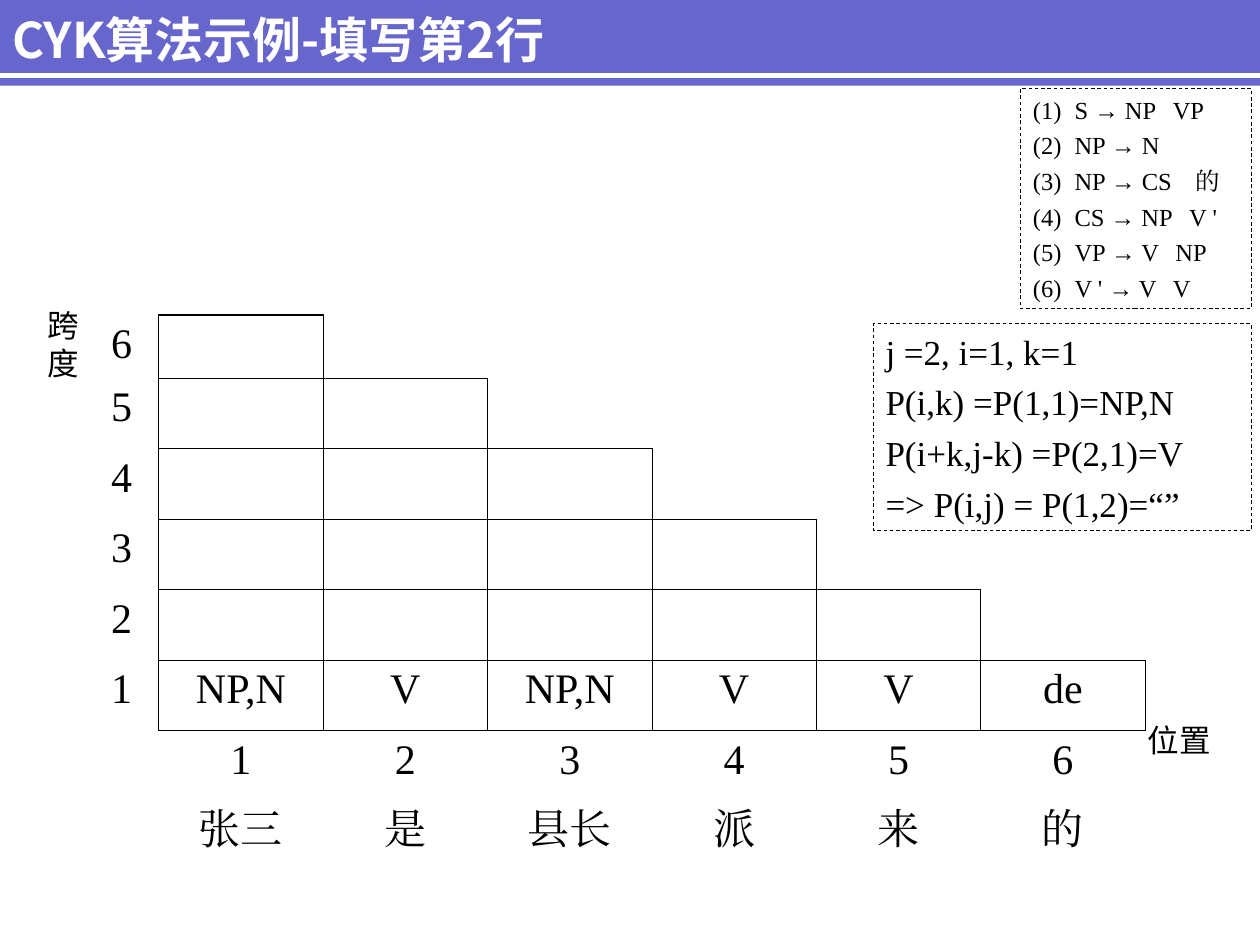
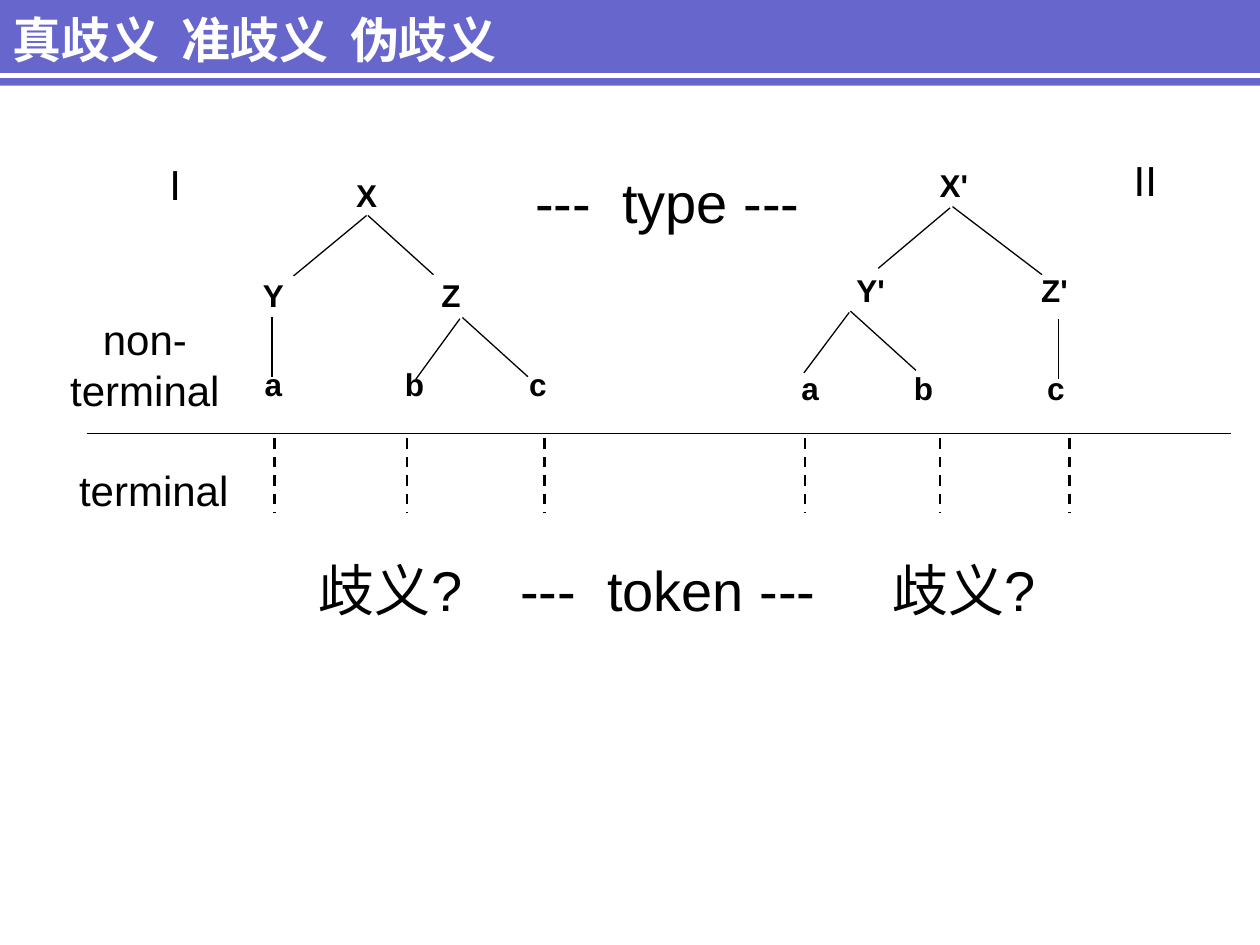
"""Builds two slides on CYK parsing and on kinds of ambiguity."""
from lxml.etree import SubElement
from pptx import Presentation
from pptx.dml.color import RGBColor
from pptx.enum.dml import MSO_LINE
from pptx.enum.shapes import MSO_CONNECTOR, MSO_SHAPE
from pptx.enum.text import MSO_ANCHOR as Anchor, PP_ALIGN as Align
from pptx.oxml.ns import qn
from pptx.util import Inches, Pt

COLORS = {"band": "6666CC", "paper": "FFFFFF", "ink": "000000"}
TITLE_FONT, BODY_FONT, LABEL_FONT, FORMULA_FONT = (
    "Noto Sans CJK SC", "Arial", "Calibri", "Times New Roman")
SPANS = 6
WORDS = ["张三", "是", "县长", "派", "来", "的"]
CATEGORIES = ["NP,N", "V", "NP,N", "V", "V", "de"]
GRAMMAR = [
    ("(1)\tS → NP\tVP", 1.11),
    ("(2)\tNP → N", 1.11),
    ("(3)\tNP → CS\t的", 1.29),
    ("(4)\tCS → NP\tV '", 1.24),
    ("(5)\tVP → V\tNP", 1.13),
    ("(6)\tV ' → V\tV", 1.11),
]
STEP = ["j =2, i=1, k=1", "P(i,k) =P(1,1)=NP,N",
        "P(i+k,j-k) =P(2,1)=V", "=> P(i,j) = P(1,2)=“”"]
LEFT_TREE = {
    "nodes": [("X", 2.91, 1.35), ("Y", 2.17, 2.14), ("Z", 3.58, 2.14),
              ("a", 2.17, 2.85), ("b", 3.29, 2.85), ("c", 4.27, 2.85)],
    "branches": [(2.91, 1.71, 2.33, 2.19), (2.92, 1.71, 3.44, 2.18),
                 (2.16, 2.52, 2.16, 2.99), (3.65, 2.53, 3.3, 3.01),
                 (3.67, 2.52, 4.19, 2.99)],
    "terminals": [2.18, 3.23, 4.32],
}
RIGHT_TREE = {
    "nodes": [("X'", 7.57, 1.27), ("Y'", 6.91, 2.1), ("Z'", 8.37, 2.1),
              ("a", 6.43, 2.88), ("b", 7.33, 2.88), ("c", 8.38, 2.88)],
    "branches": [(7.54, 1.65, 6.97, 2.13), (7.56, 1.64, 8.27, 2.18),
                 (6.74, 2.48, 6.38, 2.96), (6.75, 2.47, 7.27, 2.94),
                 (8.4, 2.53, 8.4, 3.01)],
    "terminals": [6.39, 7.46, 8.49],
}


def rgb(name):
    """Return a palette colour."""
    return RGBColor.from_string(COLORS[name])


def add_tabs(paragraph, stops):
    """Give a paragraph left tab stops, in inches."""
    tab_list = SubElement(paragraph._p.get_or_add_pPr(), qn("a:tabLst"))
    for stop in stops:
        SubElement(tab_list, qn("a:tab"), pos=str(Inches(stop)), algn="l")


def write(frame, lines, size=18, font=BODY_FONT, color="ink", bold=False,
          align=Align.LEFT, before=0, tabs=()):
    """Write lines into a text frame, with arrows set in the body font."""
    for index, line in enumerate(lines):
        paragraph = frame.add_paragraph() if index else frame.paragraphs[0]
        if tabs:
            add_tabs(paragraph, tabs[index])
        paragraph.alignment = align
        if index and before:
            paragraph.space_before = Pt(before)
        for piece in filter(None, line.partition("→")):
            face = BODY_FONT if piece == "→" else font
            run = paragraph.add_run()
            run.text = piece
            run.font.size, run.font.bold, run.font.name = Pt(size), bold, face
            run.font.color.rgb = rgb(color)
            SubElement(run._r.get_or_add_rPr(), qn("a:ea"), typeface=face)


def add_label(slide, text, left, top, width, height, anchor=Anchor.TOP, **style):
    """Add a wrapped text box holding one paragraph."""
    frame = slide.shapes.add_textbox(*map(Inches, (left, top, width, height))).text_frame
    frame.word_wrap = True
    frame.vertical_anchor = anchor
    write(frame, [text], **style)


def add_box(slide, left, top, width, height, fill=None):
    """Add a rectangle without a shadow, either filled or dashed."""
    box = slide.shapes.add_shape(
        MSO_SHAPE.RECTANGLE, *map(Inches, (left, top, width, height)))
    box.shadow.inherit = False
    if fill:
        box.fill.solid()
        box.fill.fore_color.rgb = rgb(fill)
        box.line.fill.background()
    else:
        box.fill.background()
        box.line.color.rgb = rgb("ink")
        box.line.width = Pt(0.5)
        box.line.dash_style = MSO_LINE.DASH
    return box


def add_note(slide, lines, left, top, width, height, **style):
    """Add a dashed box of formulas."""
    frame = add_box(slide, left, top, width, height).text_frame
    frame.word_wrap = True
    frame.vertical_anchor = Anchor.MIDDLE
    write(frame, lines, font=FORMULA_FONT, **style)


def add_line(slide, x1, y1, x2, y2, width=0.75, color="ink", dash=None):
    """Add a straight line without a shadow."""
    line = slide.shapes.add_connector(
        MSO_CONNECTOR.STRAIGHT, *map(Inches, (x1, y1, x2, y2)))
    line.line.color.rgb = rgb(color)
    line.line.width = Pt(width)
    if dash:
        line.line.dash_style = dash
    SubElement(line._element.spPr, qn("a:effectLst"))


def add_titled_slide(deck, title, tabs=()):
    """Add a blank slide with the title band."""
    slide = deck.slides.add_slide(deck.slide_layouts[6])
    add_box(slide, -0.04, -0.03, 10.04, 0.71, fill="band")
    add_line(slide, -0.04, 0.6, 10, 0.6, width=3, color="paper")
    add_label(slide, title, 0, -0.02, 9.5, 0.66, anchor=Anchor.MIDDLE, size=28,
              font=TITLE_FONT, color="paper", bold=True, tabs=tabs)
    return slide


def in_chart(row, column):
    """Tell whether a table cell lies in the staircase."""
    return 0 <= row < SPANS and 1 <= column <= row + 1


def draw_borders(cell, row, column):
    """Rule each edge that touches the staircase and clear the others."""
    neighbours = {"L": (row, column - 1), "R": (row, column + 1),
                  "T": (row - 1, column), "B": (row + 1, column)}
    for side, neighbour in neighbours.items():
        width = 1.08 if side == "T" and row == 0 else 0.45
        edge = SubElement(cell._tc.get_or_add_tcPr(), qn(f"a:ln{side}"),
                          w=str(Pt(width)))
        if in_chart(row, column) or in_chart(*neighbour):
            fill = SubElement(edge, qn("a:solidFill"))
            SubElement(fill, qn("a:srgbClr"), val=COLORS["ink"])
        else:
            SubElement(edge, qn("a:noFill"))


def add_parse_table(slide):
    """Add the triangular CYK table with its axes and words."""
    left, top, width, height, axis_width = 0.67, 2.5, 8.42, 4.39, 0.59
    table = slide.shapes.add_table(
        SPANS + 2, SPANS + 1, *map(Inches, (left, top, width, height))).table
    table.first_row = table.horz_banding = False
    for index, column in enumerate(table.columns):
        column.width = Inches((width - axis_width) / SPANS if index else axis_width)
    for index, row in enumerate(table.rows):
        row.height = Inches(0.56 if index else 0.5)
    positions = [str(n) for n in range(1, SPANS + 1)]
    texts = [[span] + [""] * SPANS for span in positions[:0:-1]]
    texts += [["1"] + CATEGORIES, [""] + positions, [""] + WORDS]
    for r, row_texts in enumerate(texts):
        for c, text in enumerate(row_texts):
            cell = table.cell(r, c)
            draw_borders(cell, r, c)
            cell.fill.background()
            if text:
                write(cell.text_frame, [text], size=24, font=FORMULA_FONT,
                      align=Align.CENTER)
    for r in range(2):
        table.cell(r, 4).merge(table.cell(r, 6))


def add_tree(slide, tree):
    """Add a parse tree with dashed links to its terminals."""
    for name, center, top in tree["nodes"]:
        add_label(slide, name, center - 0.25, top, 0.5, 0.4, bold=True,
                  align=Align.CENTER)
    for branch in tree["branches"]:
        add_line(slide, *branch)
    for x in tree["terminals"]:
        add_line(slide, x, 3.48, x, 4.07, width=1.5, dash=MSO_LINE.DASH)


def build_cyk_slide(deck):
    """Build the slide that fills in row 2 of the CYK table."""
    slide = add_titled_slide(deck, "CYK算法示例-填写第2行")
    add_parse_table(slide)
    add_label(slide, "跨度", 0.28, 2.38, 0.6, 0.7, font=LABEL_FONT)
    add_label(slide, "位置", 9.01, 5.67, 0.98, 0.4, font=LABEL_FONT)
    add_note(slide, STEP, 6.93, 2.57, 3, 1.64, size=20, before=5)
    rules, stops = zip(*GRAMMAR)
    add_note(slide, rules, 8.1, 0.7, 1.83, 1.75, size=14, before=3.5,
             tabs=[(0.33, stop) for stop in stops])


def build_ambiguity_slide(deck):
    """Build the slide that compares two parse trees."""
    slide = add_titled_slide(deck, "真歧义\t准歧义\t伪歧义", tabs=[(1.34, 2.68)])
    for text, left, top, width, height in [
            ("I", 1.1, 1.21, 0.58, 0.5), ("II", 8.8, 1.18, 0.58, 0.5),
            ("non-terminal", 0.36, 2.44, 1.58, 0.9),
            ("terminal", 0.43, 3.64, 1.58, 0.5)]:
        add_label(slide, text, left, top, width, height, size=24, align=Align.CENTER)
    for text, left, top in [("---\ttype ---", 4.15, 1.28), ("---\ttoken ---", 4.03, 4.36)]:
        add_label(slide, text, left, top, 2.7, 0.64, size=32, tabs=[(0.69,)])
    for left in (2.35, 6.9):
        add_label(slide, "歧义?", left, 4.36, 1.5, 0.64, size=32, align=Align.CENTER)
    add_line(slide, 0.69, 3.44, 9.77, 3.44, width=0.5)
    for tree in (LEFT_TREE, RIGHT_TREE):
        add_tree(slide, tree)


def main():
    """Build and save the deck."""
    deck = Presentation()
    deck.slide_width, deck.slide_height = Inches(10), Inches(7.5)
    build_cyk_slide(deck)
    build_ambiguity_slide(deck)
    deck.save("out.pptx")


if __name__ == "__main__":
    main()
